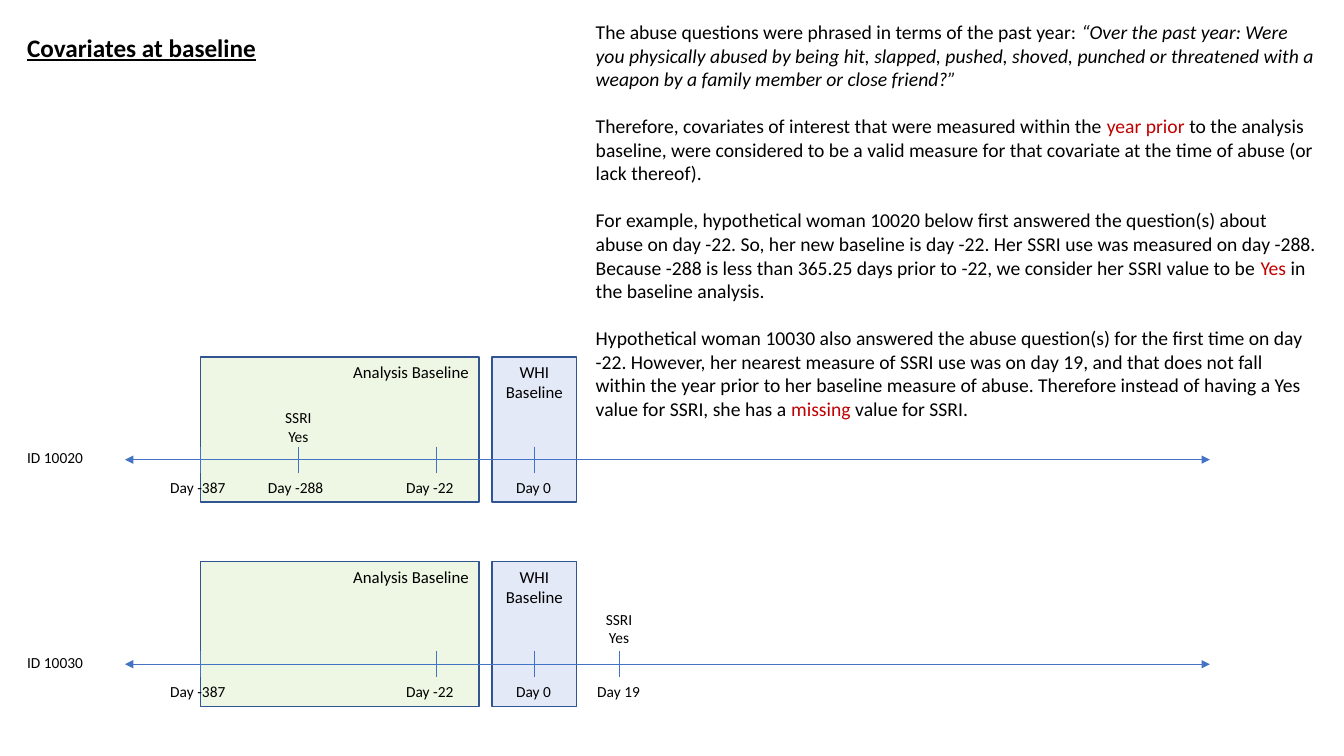
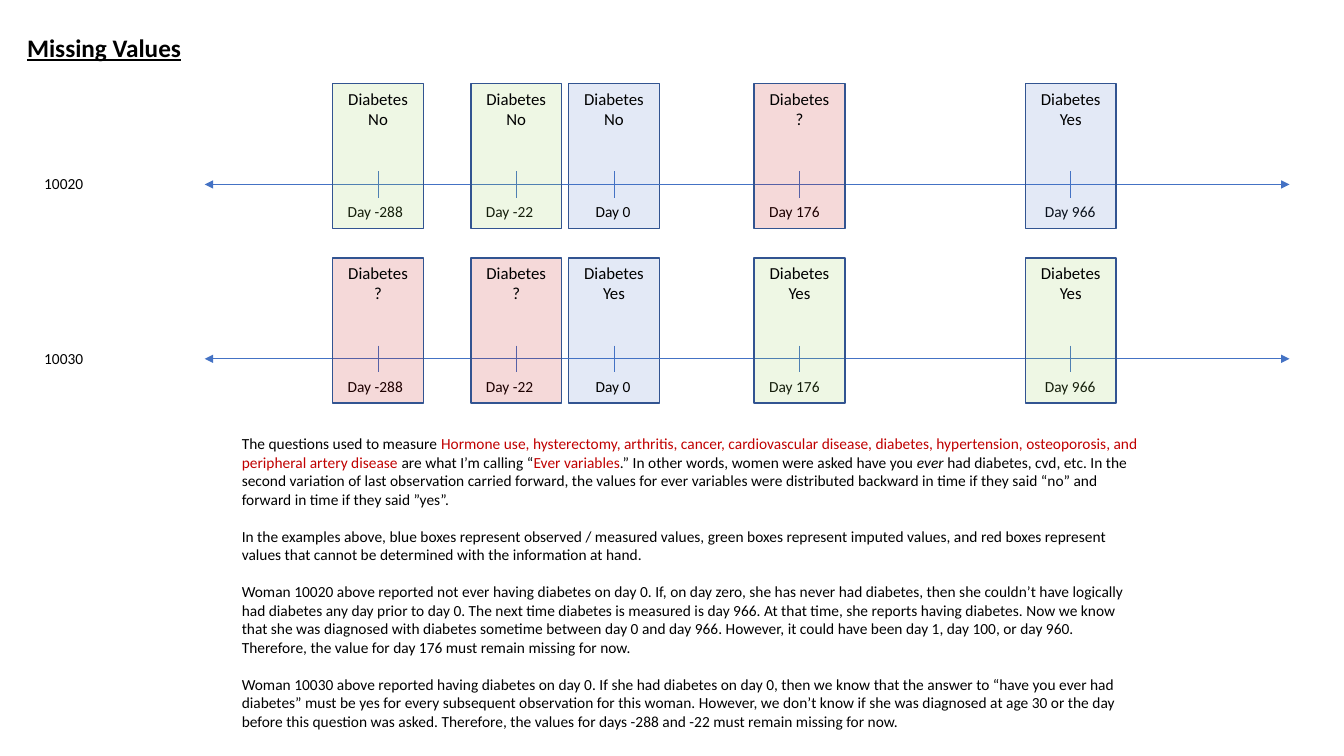
from pptx import Presentation
from pptx.dml.color import RGBColor as Rgb
from pptx.enum.shapes import MSO_CONNECTOR as Link, MSO_SHAPE as Form
from pptx.enum.text import MSO_ANCHOR as Anchor, PP_ALIGN as Align
from pptx.oxml.ns import qn
from pptx.oxml.xmlchemy import OxmlElement as Node
from pptx.util import Inches, Pt

HUES = {
    "black": "000000",
    "red": "C00000",
    "green": "92D050",
    "blue": "4472C4",
    "edge": "325491",
}
BASE = {"name": "Calibri", "size": Pt(11)}
HEAD = {"size": Pt(18), "bold": True, "underline": True}
LARGE = {"size": Pt(14)}
MID = {"size": Pt(12)}
DAYS = {
    -387: (0.75, 0.8),
    -288: (1.72, 0.8),
    -22: (3.09, 0.8),
    0: (4.06, 0.56),
    19: (4.9, 0.63),
    176: (5.9, 0.8),
    966: (8.59, 0.71),
}
SPAN = 10.76
TALL = 1.44

ABUSE = [
    [("The abuse questions were phrased in terms of the past year: ", ""),
     ("“Over the past year: Were you physically abused by being hit, slapped, pushed, shoved, "
      "punched or threatened with a weapon by a family member or close friend?”", "italic")],
    [("Therefore, covariates of interest that were measured within the ", ""),
     ("year prior ", "red"),
     ("to the analysis baseline, were considered to be a valid measure for that covariate "
      "at the time of abuse (or lack thereof).", "")],
    [("For example, hypothetical woman 10020 below first answered the question(s) about abuse "
      "on day -22. So, her new baseline is day -22. Her SSRI use was measured on day -288. "
      "Because -288 is less than 365.25 days prior to -22, we consider her SSRI value to be ", ""),
     ("Yes", "red"),
     (" in the baseline analysis.", "")],
    [("Hypothetical woman 10030 also answered the abuse question(s) for the first time on day", ""),
     ("", "break"),
     ("-22. However, her nearest measure of SSRI use was on day 19, and that does not fall "
      "within the year prior to her baseline measure of abuse. Therefore instead of having a "
      "Yes value for SSRI, she has a ", ""),
     ("missing", "red"),
     (" value for SSRI.", "")],
]
EVER = [
    [("The questions used to measure ", ""),
     ("Hormone use, hysterectomy, arthritis, cancer, cardiovascular disease, diabetes, "
      "hypertension, osteoporosis, and peripheral artery disease ", "red"),
     ("are what I’m calling “", ""),
     ("Ever variables", "red"),
     (".” In other words, women were asked have you ", ""),
     ("ever", "italic"),
     (" had diabetes, cvd, etc. In the second variation of last observation carried forward, "
      "the values for ever variables were distributed backward in time if they said “no” and "
      "forward in time if they said ”yes”.", "")],
    [("In the examples above, blue boxes represent observed / measured values, green boxes "
      "represent imputed values, and red boxes represent values that cannot be determined "
      "with the information at hand.", "")],
    [("Woman 10020 above reported not ever having diabetes on day 0. If, on day zero, she has "
      "never had diabetes, then she couldn’t have logically had diabetes any day prior to day 0. "
      "The next time diabetes is measured is day 966. At that time, she reports having diabetes. "
      "Now we know that she was diagnosed with diabetes sometime between day 0 and day 966. "
      "However, it could have been day 1, day 100, or day 960. Therefore, the value for day 176 "
      "must remain missing for now.", "")],
    [("Woman 10030 above reported having diabetes on day 0. If she had diabetes on day 0, then "
      "we know that the answer to “have you ever had diabetes” must be yes for every subsequent "
      "observation for this woman. However, we don’t know if she was diagnosed at age 30 or the "
      "day before this question was asked. Therefore, the values for days -288 and -22 must "
      "remain missing for now.", "")],
]


def tint(hue):
    return Rgb.from_string(HUES[hue])


def write(frame, paras, form=None, align=Align.LEFT, gap=0):
    frame.word_wrap = True
    frame.vertical_anchor = Anchor.TOP
    for num, parts in enumerate(paras):
        para = frame.add_paragraph() if num else frame.paragraphs[0]
        para.alignment = align
        para.space_before = Pt(gap if num else 0)
        for words, style in parts:
            if style == "break":
                para.add_line_break()
                continue
            run = para.add_run()
            run.text = words
            look = {**BASE, **(form or {}), "italic": style == "italic"}
            for key, value in look.items():
                setattr(run.font, key, value)
            run.font.color.rgb = tint("red" if style == "red" else "black")


def plain(*lines):
    return [[(line, "")] for line in lines]


def note(slide, box, paras, **style):
    area = slide.shapes.add_textbox(*map(Inches, box))
    write(area.text_frame, paras, **style)


def panel(slide, box, hue, lines, align=Align.CENTER):
    rect = slide.shapes.add_shape(Form.RECTANGLE, *map(Inches, box))
    rect.shadow.inherit = False
    rect.fill.solid()
    rect.fill.fore_color.rgb = tint(hue)
    alpha = Node("a:alpha")
    alpha.set("val", "15000")
    rect.element.spPr.find(qn("a:solidFill"))[0].append(alpha)
    rect.line.color.rgb = tint("edge")
    rect.line.width = Pt(1)
    write(rect.text_frame, plain(*lines), MID, align)


def rule(slide, ends, arrows=False):
    line = slide.shapes.add_connector(Link.STRAIGHT, *map(Inches, ends))
    line.line.color.rgb = tint("blue")
    line.line.width = Pt(0.5)
    props = line.element.spPr
    if arrows:
        for tag in ("a:headEnd", "a:tailEnd"):
            tip = Node(tag)
            tip.set("type", "triangle")
            props.find(qn("a:ln")).append(tip)
    props.append(Node("a:effectLst"))


def track(slide, left, y, days):
    rule(slide, (left, y, left + SPAN, y), True)
    for day in days:
        shift, wide = DAYS[day]
        x = left + shift
        rule(slide, (x, y - 0.13, x, y + 0.13))
        note(slide, (x - wide / 2, y + 0.13, wide, 0.29), plain(f"Day {day}"))


def title(slide, words):
    note(slide, (0.17, 0.27, 3.9, 0.4), plain(words), form=HEAD)


def window(slide, left, top, name, days, drug, rise):
    y = top + 1.02
    note(slide, (0.17, y - 0.16, 0.8, 0.29), plain(name))
    panel(slide, (left + 0.75, top, 2.76, TALL), "green", ["Analysis Baseline"], Align.RIGHT)
    panel(slide, (left + 3.64, top, 0.84, TALL), "blue", ["WHI Baseline"])
    track(slide, left, y, days)
    x = left + DAYS[drug][0]
    note(slide, (x - 0.3, y - rise, 0.6, 0.47), plain("SSRI", "Yes"), align=Align.CENTER)


def status(slide, left, top, name, cases):
    def case(day):
        hue, reply = cases[day]
        x = left + DAYS[day][0] - 0.45
        panel(slide, (x, top, 0.9, TALL), hue, ["Diabetes", reply])

    y = top + 1
    note(slide, (0.34, y - 0.15, 1.13, 0.29), plain(name))
    case(0)
    track(slide, left, y, cases)
    for day in cases:
        if day:
            case(day)


def prior(slide):
    title(slide, "Covariates at baseline")
    note(slide, (5.81, 0.15, 7.35, 4.11), ABUSE, form=LARGE, gap=16.8)
    window(slide, 1.24, 3.54, "ID 10020", (-387, -288, -22, 0), -288, 0.56)
    window(slide, 1.24, 5.57, "ID 10030", (-387, -22, 0, 19), 19, 0.59)


def missing(slide):
    title(slide, "Missing Values")
    status(slide, 2.03, 0.83, "10020", {
        -288: ("green", "No"), -22: ("green", "No"), 0: ("blue", "No"),
        176: ("red", "?"), 966: ("blue", "Yes")})
    status(slide, 2.03, 2.56, "10030", {
        -288: ("red", "?"), -22: ("red", "?"), 0: ("blue", "Yes"),
        176: ("green", "Yes"), 966: ("green", "Yes")})
    note(slide, (2.3, 4.26, 9.14, 3.06), EVER, gap=13.2)


def main():
    deck = Presentation()
    deck.slide_width = Inches(13.33)
    deck.slide_height = Inches(7.5)
    for build in (prior, missing):
        build(deck.slides.add_slide(deck.slide_layouts[6]))
    deck.save("out.pptx")


if __name__ == "__main__":
    main()
